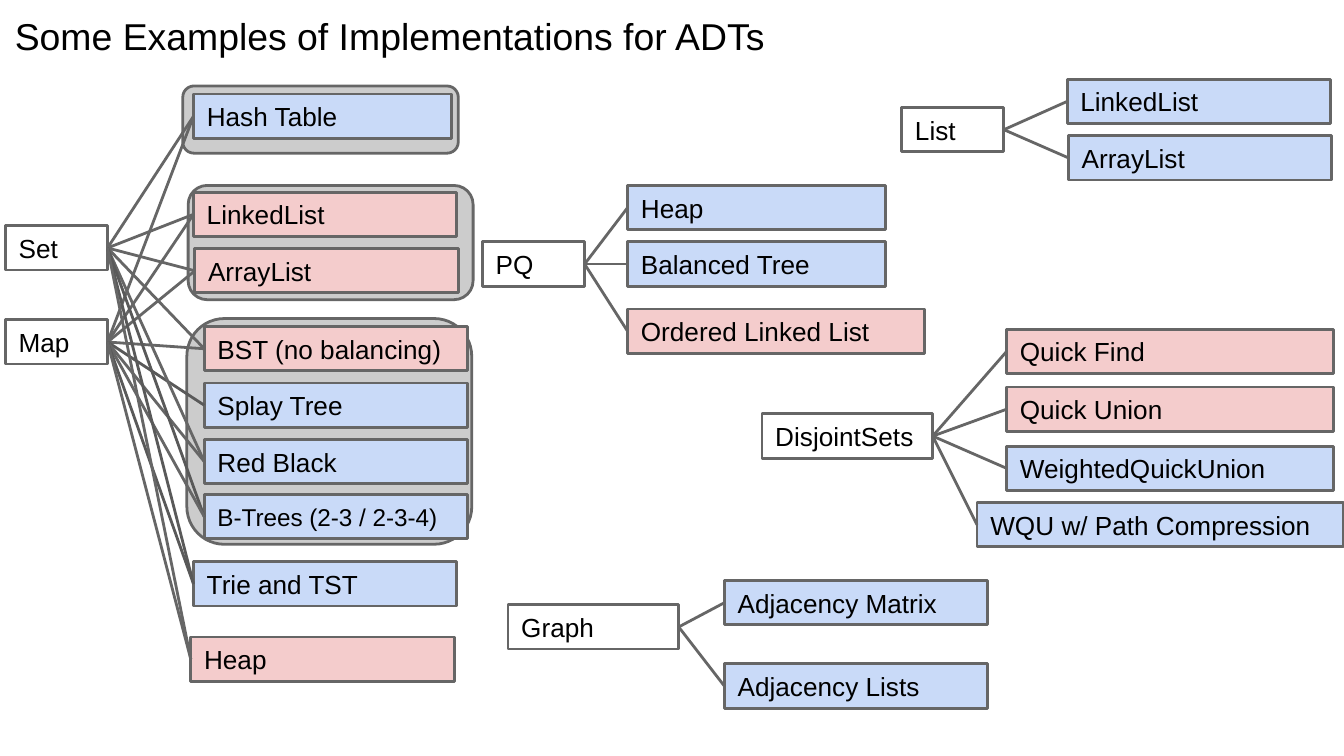
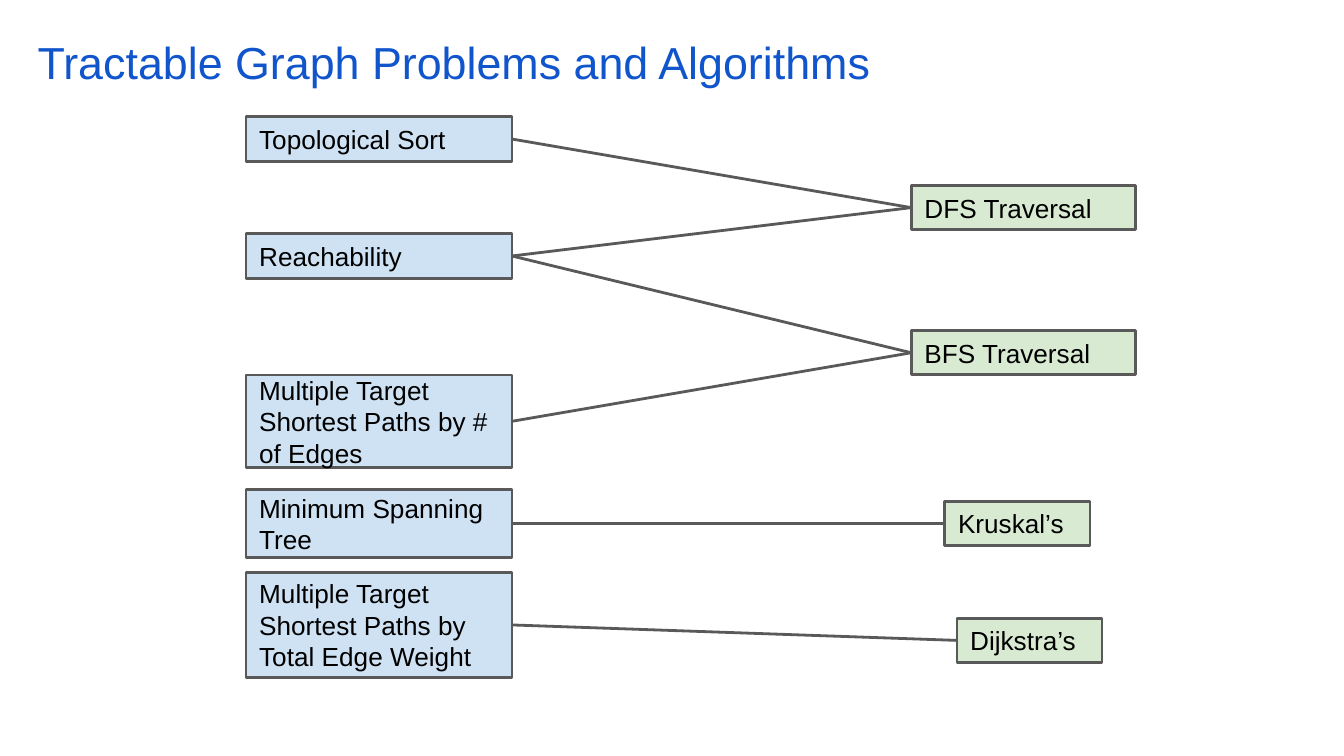
import pptx
import pptx.util
import pptx.dml.color
import pptx.enum.shapes
import pptx.enum.text
import pptx.oxml.ns
from lxml import etree

Inches, Pt = pptx.util.Inches, pptx.util.Pt
SHAPE = pptx.enum.shapes.MSO_SHAPE
ANCHOR = pptx.enum.text.MSO_ANCHOR
FONT = "Arial"
ROW = 0.33
COLORS = {
    "text": "000000", "title": "1155CC", "line": "666666", "dark": "595959",
    "adt": "FFFFFF", "good": "C9DAF8", "slow": "F4CCCC", "panel": "CCCCCC",
    "problem": "CFE2F3", "algorithm": "D9EAD3",
}

PANELS = [(1.39, 2.37, 2.12, 1.68), (1.4, 1.38, 2.12, 0.85), (1.36, 0.64, 2.05, 0.5)]
SET_MAP = [("Set", 0.04, 1.68, 0.76), ("Map", 0.04, 2.38, 0.76)]
SET_MAP_IMPLS = [
    ("Hash Table", "good", 1.44, 0.7, 1.92),
    ("LinkedList", "slow", 1.44, 1.43, 1.96),
    ("ArrayList", "slow", 1.45, 1.85, 1.96),
    ("BST (no balancing)", "slow", 1.52, 2.43, 1.96),
    ("Splay Tree", "good", 1.52, 2.85, 1.96),
    ("Red Black", "good", 1.52, 3.27, 1.96),
    ("B-Trees (2-3 / 2-3-4)", "good", 1.52, 3.68, 1.96),
    ("Trie and TST", "good", 1.44, 4.18, 1.96),
    ("Heap", "slow", 1.42, 4.74, 1.96),
]
UNLINKED = {("Set", "Splay Tree")}
DARK_LINKS = {("Map", "Trie and TST"), ("Set", "Trie and TST"),
              ("Map", "Splay Tree"), ("Set", "B-Trees (2-3 / 2-3-4)")}
SMALL_TEXT = {"B-Trees (2-3 / 2-3-4)": 13}

FAMILIES = [
    (SET_MAP, SET_MAP_IMPLS),
    ([("PQ", 3.59, 1.8, 0.76)], [
        ("Heap", "good", 4.67, 1.38, 1.92),
        ("Balanced Tree", "good", 4.67, 1.8, 1.92),
        ("Ordered Linked List", "slow", 4.67, 2.3, 2.21)]),
    ([("List", 6.71, 0.8, 0.76)], [
        ("LinkedList", "good", 7.94, 0.59, 1.96),
        ("ArrayList", "good", 7.95, 1.01, 1.96)]),
    ([("DisjointSets", 5.67, 3.08, 1.27)], [
        ("Quick Find", "slow", 7.49, 2.45, 2.43),
        ("Quick Union", "slow", 7.49, 2.88, 2.43),
        ("WeightedQuickUnion", "good", 7.49, 3.32, 2.43),
        ("WQU w/ Path Compression", "good", 7.27, 3.74, 2.73)]),
    ([("Graph", 3.78, 4.5, 1.27)], [
        ("Adjacency Matrix", "good", 5.39, 4.32, 1.96),
        ("Adjacency Lists", "good", 5.39, 4.94, 1.96)]),
]

PROBLEM_X, PROBLEM_W = 1.83, 1.98
PROBLEMS = [
    ("Topological Sort", 0.87, ROW, ["DFS Traversal"]),
    ("Reachability", 1.74, ROW, ["DFS Traversal", "BFS Traversal"]),
    ("Multiple Target\nShortest Paths by # of Edges", 2.79, 0.69, ["BFS Traversal"]),
    ("Minimum Spanning Tree", 3.64, 0.51, ["Kruskal’s"]),
    ("Multiple Target\nShortest Paths by Total Edge Weight", 4.26, 0.78, ["Dijkstra’s"]),
]
ALGORITHMS = [
    ("DFS Traversal", 6.78, 1.38, 1.67),
    ("BFS Traversal", 6.78, 2.46, 1.67),
    ("Kruskal’s", 7.03, 3.73, 1.08),
    ("Dijkstra’s", 7.12, 4.6, 1.08),
]


def rgb(name):
    return pptx.dml.color.RGBColor.from_string(COLORS[name])


def set_text(tf, text, size, color="text", anchor=ANCHOR.MIDDLE):
    tf.text = text
    tf.word_wrap = True
    tf.auto_size = pptx.enum.text.MSO_AUTO_SIZE.NONE
    tf.vertical_anchor = anchor
    tf.margin_left = tf.margin_right = tf.margin_top = tf.margin_bottom = Inches(0.1)
    for p in tf.paragraphs:
        p.alignment = pptx.enum.text.PP_ALIGN.LEFT
        p.font.name = FONT
        p.font.size = Pt(size)
        p.font.color.rgb = rgb(color)


def add_slide(prs, title, box, size, color):
    s = prs.slides.add_slide(prs.slide_layouts[5])
    sp = s.shapes.title
    sp.left, sp.top, sp.width, sp.height = map(Inches, box)
    set_text(sp.text_frame, title, size, color, ANCHOR.TOP)
    return s


def add_box(s, box, fill, line="line", text=None, kind=SHAPE.RECTANGLE):
    sp = s.shapes.add_shape(kind, *map(Inches, box))
    sp.shadow.inherit = False
    sp.fill.solid()
    sp.fill.fore_color.rgb = rgb(fill)
    sp.line.color.rgb = rgb(line)
    sp.line.width = Pt(1.5)
    if text:
        set_text(sp.text_frame, text, SMALL_TEXT.get(text, 14))
    return sp


def link(s, start, end, color="line"):
    c = s.shapes.add_connector(pptx.enum.shapes.MSO_CONNECTOR.STRAIGHT, 0, 0, 0, 0)
    c.begin_connect(start, 3)
    c.end_connect(end, 1)
    c.line.color.rgb = rgb(color)
    c.line.width = Pt(1.5)
    etree.SubElement(c._element.spPr, pptx.oxml.ns.qn("a:effectLst"))


def build_adts(prs):
    s = add_slide(prs, "Some Examples of Implementations for ADTs",
                  (0.01, 0, 6.7, ROW), 20, "text")
    for panel in PANELS:
        add_box(s, panel, "panel", kind=SHAPE.ROUNDED_RECTANGLE)
    for adts, impls in FAMILIES:
        hubs = [(name, add_box(s, (x, y, w, ROW), "adt", text=name))
                for name, x, y, w in adts]
        for name, fill, x, y, w in impls:
            sp = add_box(s, (x, y, w, ROW), fill, text=name)
            for adt, hub in hubs:
                pair = (adt, name)
                if pair not in UNLINKED:
                    link(s, hub, sp, "dark" if pair in DARK_LINKS else "line")


def build_graph_problems(prs):
    s = add_slide(prs, "Tractable Graph Problems and Algorithms",
                  (0.18, 0.16, 7.62, ROW), 24, "title")
    algorithms = {name: add_box(s, (x, y, w, ROW), "algorithm", "dark", name)
                  for name, x, y, w in ALGORITHMS}
    for text, y, h, solvers in PROBLEMS:
        sp = add_box(s, (PROBLEM_X, y, PROBLEM_W, h), "problem", "dark", text)
        for solver in solvers:
            link(s, sp, algorithms[solver], "dark")


def main():
    prs = pptx.Presentation()
    prs.slide_width = Inches(10)
    prs.slide_height = prs.slide_width * 9 // 16
    build_adts(prs)
    build_graph_problems(prs)
    prs.save("out.pptx")


if __name__ == "__main__":
    main()
